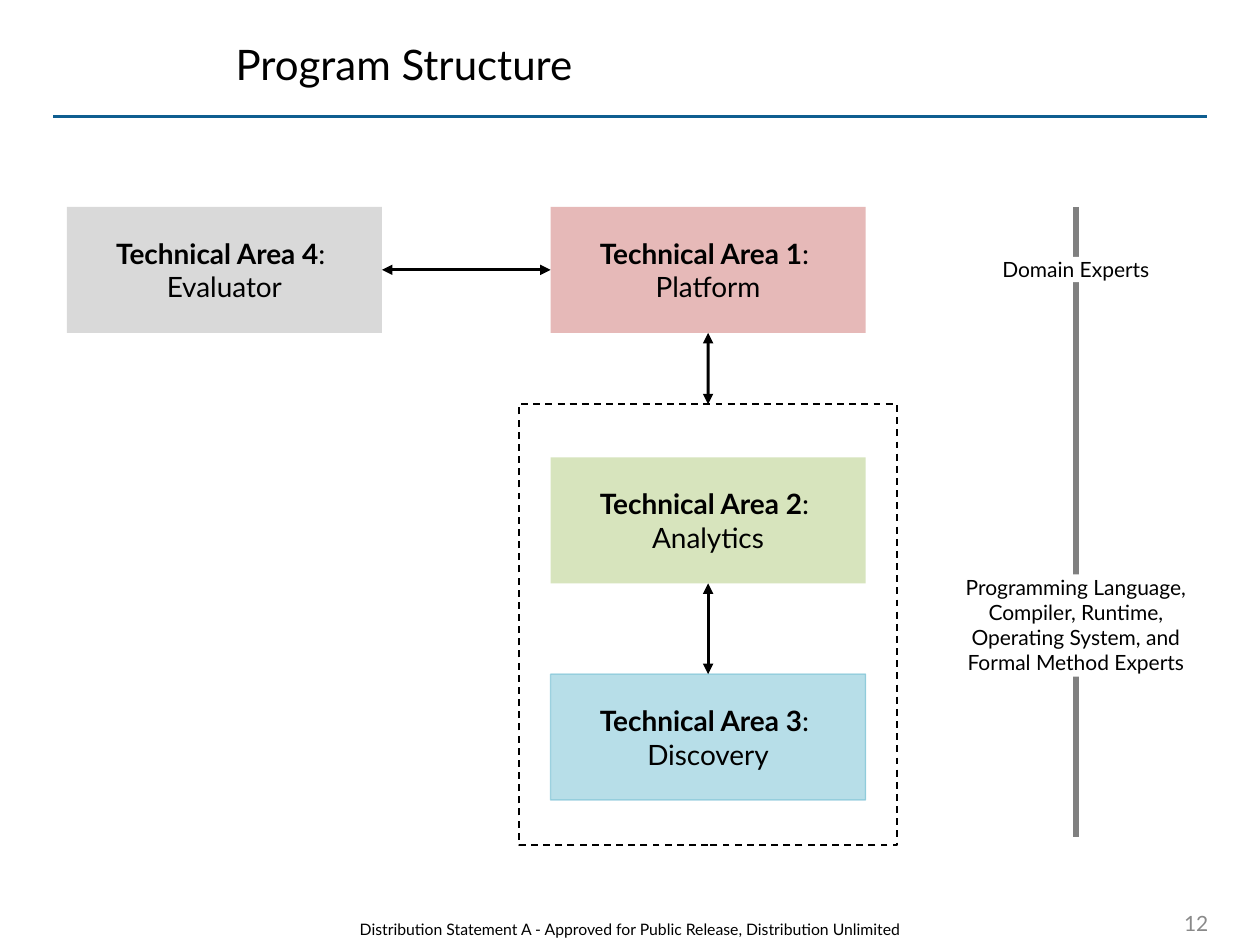
from dataclasses import dataclass

from lxml.etree import SubElement
from pptx import Presentation
from pptx.dml.color import RGBColor
from pptx.enum.dml import MSO_LINE
from pptx.enum.shapes import MSO_CONNECTOR, MSO_SHAPE
from pptx.enum.text import MSO_ANCHOR, PP_ALIGN
from pptx.oxml.ns import qn
from pptx.util import Cm, Pt


@dataclass(frozen=True)
class Theme:
    font: str = "Lato"
    ink: str = "000000"
    paper: str = "FFFFFF"
    rule: str = "0F5E90"
    axis: str = "808080"
    number: str = "898989"
    platform: str = "E6B9B8"
    analytics: str = "D7E4BD"
    discovery: str = "B7DEE8"
    discovery_edge: str = "46AAC4"
    evaluator: str = "D9D9D9"
    title_size: int = 24
    area_size: int = 16
    label_size: int = 12
    footer_size: int = 9


theme = Theme()
TOP, LEFT, BOTTOM, RIGHT = 0, 1, 2, 3

deck = Presentation()
deck.slide_width, deck.slide_height = Cm(25.4), Cm(19.05)
page = deck.slides.add_slide(deck.slide_layouts[6])


def add_box(left, top, width, height, paragraphs, size, fill=None, color=theme.ink,
            align=PP_ALIGN.CENTER, anchor=MSO_ANCHOR.MIDDLE, wrap=True):
    """Add a filled rectangle, or a plain text box; paragraphs hold (text, bold) runs."""
    place = Cm(left), Cm(top), Cm(width), Cm(height)
    if fill:
        box = page.shapes.add_shape(MSO_SHAPE.RECTANGLE, *place)
        box.shadow.inherit = False
        box.fill.solid()
        box.fill.fore_color.rgb = RGBColor.from_string(fill)
        box.line.fill.background()
    else:
        box = page.shapes.add_textbox(*place)
    frame = box.text_frame
    frame.word_wrap = wrap
    frame.vertical_anchor = anchor
    if fill:
        frame.margin_left = frame.margin_right = frame.margin_top = frame.margin_bottom = 0
    for index, runs in enumerate(paragraphs):
        para = frame.add_paragraph() if index else frame.paragraphs[0]
        para.alignment = align
        for text, bold in runs:
            span = para.add_run()
            span.text = text
            span.font.name = theme.font
            span.font.size = Pt(size)
            span.font.bold = bold
            span.font.color.rgb = RGBColor.from_string(color)
    return box


def add_line(start, end, color, width, arrows=False):
    """Add a straight line between two points, with arrowheads at both ends if asked."""
    line = page.shapes.add_connector(
        MSO_CONNECTOR.STRAIGHT, *(Cm(value) for value in (*start, *end)))
    line.line.color.rgb = RGBColor.from_string(color)
    line.line.width = Pt(width)
    if arrows:
        for tag in ("a:headEnd", "a:tailEnd"):
            SubElement(line.line._get_or_add_ln(), qn(tag), type="triangle")
    SubElement(line._element.spPr, qn("a:effectLst"))
    return line


# Page number, title and the rule below it
add_line((1.07, 2.34), (24.33, 2.34), theme.rule, 1.75)
add_box(22.5, 18.21, 2.11, 0.81, [[("12", False)]], theme.label_size,
        color=theme.number, align=PP_ALIGN.RIGHT)
add_box(4.5, 0.43, 19.84, 1.7, [[("Program Structure", False)]], theme.title_size,
        align=PP_ALIGN.LEFT)

# Dashed frame around areas 2 and 3, centred on the main column
area_width, area_height = 6.35, 2.54
column_left, first_top = 11.1, 4.17
column_center = column_left + area_width / 2
group_width = 7.62
group = add_box(column_center - group_width / 2, 8.15, group_width, 8.89, [],
                theme.area_size, theme.paper)
group.line.color.rgb = RGBColor.from_string(theme.ink)
group.line.width = Pt(1)
group.line.dash_style = MSO_LINE.DASH

# Technical areas
areas = {}
for number, name, left, top, fill in [
    (3, "Discovery", column_left, 13.59, theme.discovery),
    (1, "Platform", column_left, first_top, theme.platform),
    (4, "Evaluator", 1.35, first_top, theme.evaluator),
    (2, "Analytics", column_left, 9.22, theme.analytics),
]:
    heading = [(f"Technical Area {number}", True), (": ", False)]
    areas[number] = add_box(left, top, area_width, area_height,
                            [heading, [(name, False)]], theme.area_size, fill)

# Half-transparent edge of area 3
edge = areas[3].line
edge.color.rgb = RGBColor.from_string(theme.discovery_edge)
edge.width = Pt(0.75)
edge_color = edge._get_or_add_ln().find(".//" + qn("a:srgbClr"))
SubElement(edge_color, qn("a:alpha"), val="46000")

# Expertise axis with its labels
axis_x = 21.69
add_line((axis_x, first_top), (axis_x, 16.87), theme.axis, 3)
experts = ("Programming Language, Compiler, Runtime, "
           "Operating System, and Formal Method Experts")
for text, top, width, height, wrap in [
    ("Domain Experts", 5.18, 2.97, 0.51, False),
    (experts, 11.58, 5.13, 2.06, True),
]:
    add_box(axis_x - width / 2, top, width, height, [[(text, False)]],
            theme.label_size, theme.paper, anchor=MSO_ANCHOR.TOP, wrap=wrap)

# Two-way arrows between the areas
for source, source_side, target, target_side in [
    (areas[2], BOTTOM, areas[3], TOP),
    (areas[1], BOTTOM, group, TOP),
    (areas[4], RIGHT, areas[1], LEFT),
]:
    arrow = add_line((0, 0), (0, 0), theme.ink, 1.75, arrows=True)
    arrow.begin_connect(source, source_side)
    arrow.end_connect(target, target_side)

# Distribution statement
statement = "Distribution Statement A - Approved for Public Release, Distribution Unlimited"
add_box(6.93, 18.42, 11.53, 0.63, [[(statement, False)]], theme.footer_size,
        anchor=MSO_ANCHOR.TOP)

deck.save("out.pptx")
